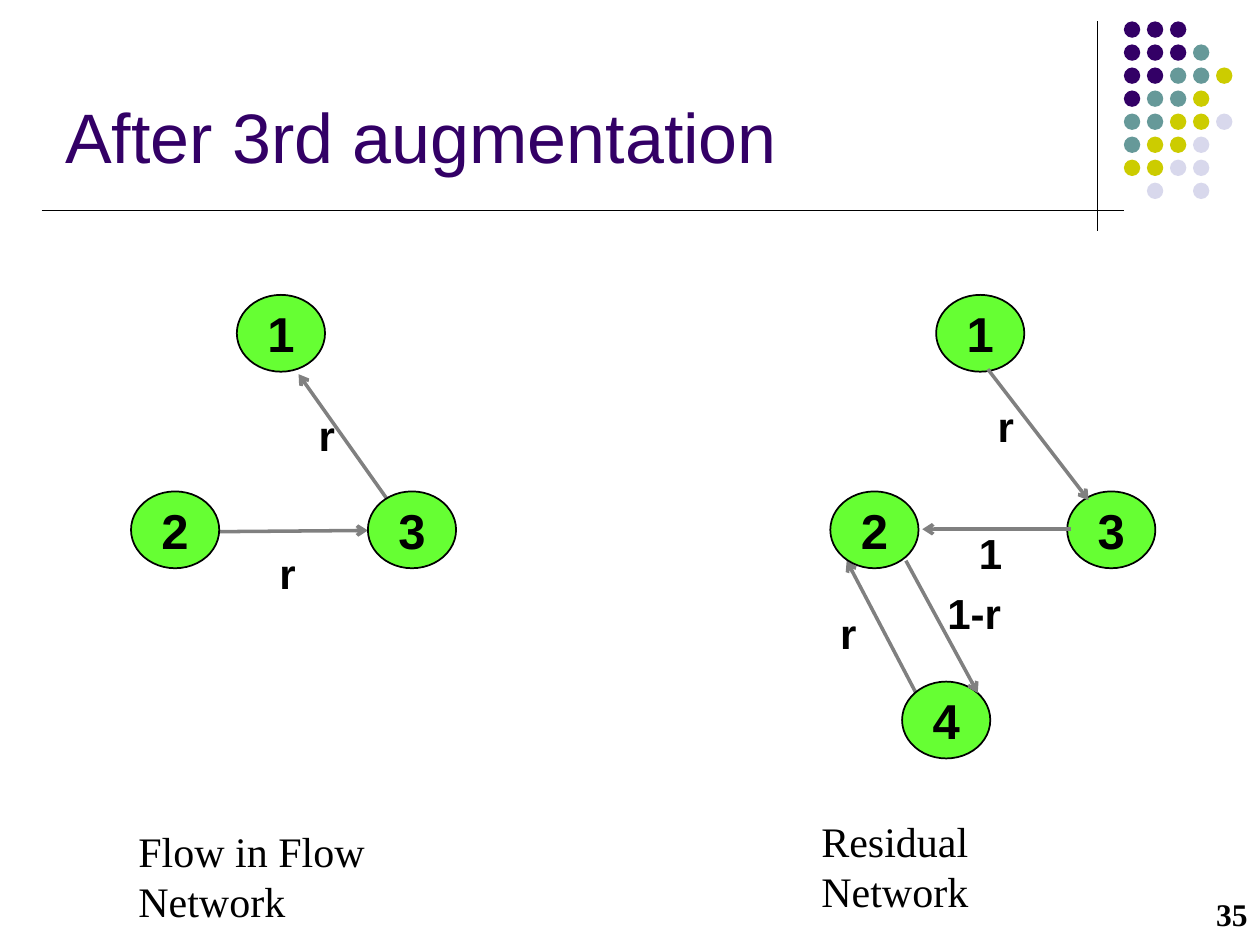
from dataclasses import dataclass

from lxml import etree
from pptx import Presentation
from pptx.dml.color import RGBColor
from pptx.enum import shapes, text
from pptx.oxml import ns
from pptx.util import Inches, Pt

BLACK = RGBColor(0x00, 0x00, 0x00)
PURPLE = RGBColor(0x33, 0x00, 0x66)
TEAL = RGBColor(0x66, 0x99, 0x99)
OLIVE = RGBColor(0xCC, 0xCC, 0x00)
LAVENDER = RGBColor(0xD8, 0xD8, 0xEC)
GREEN = RGBColor(0x66, 0xFF, 0x33)
GRAY = RGBColor(0x80, 0x80, 0x80)

SANS = "Arial"
SERIF = "Times New Roman"

DOT_COLORS = {"P": PURPLE, "T": TEAL, "O": OLIVE, "L": LAVENDER}
DOT_ROWS = ["PPP", "PPPT", "PPTTO", "PTTO", "TTOOL", "TOOL", "OOLL", ".L.L"]
DOT_LEFT, DOT_TOP, DOT_SIZE = 8.92, 0.17, 0.13
DOT_PITCH = 1.28 / 7

NODE_WIDTH, NODE_HEIGHT = 0.7, 0.61
# Node positions measured from the left edge of a network
NODE_POSITIONS = {"1": (0.84, 2.34), "2": (0, 3.9), "3": (1.88, 3.9), "4": (0.57, 5.41)}


@dataclass(frozen=True)
class Edge:
    start: tuple[float, float]
    end: tuple[float, float]
    label: str
    label_left: float
    label_top: float
    over_nodes: bool = False


@dataclass(frozen=True)
class Network:
    left: float
    nodes: str
    edges: list[Edge]
    caption: str
    caption_box: tuple[float, float, float, float]


FLOW = Network(
    1.04,
    "123",
    [
        Edge((3.1, 4), (2.37, 2.97), "r", 2.43, 3.2),
        Edge((1.72, 4.22), (2.92, 4.21), "r", 2.12, 4.3),
    ],
    "Flow in Flow Network",
    (1, 6.5, 3.24, 0.5),
)
RESIDUAL = Network(
    6.59,
    "1234",
    [
        Edge((7.27, 5.5), (6.72, 4.45), "r", 6.57, 4.77),
        Edge((7.84, 2.93), (8.64, 3.97), "r", 7.82, 3.13, over_nodes=True),
        Edge((7.19, 4.45), (7.76, 5.5), "1-r", 7.42, 4.61, over_nodes=True),
        Edge((8.5, 4.2), (7.32, 4.2), "1", 7.67, 4.14, over_nodes=True),
    ],
    "Residual Network",
    (6.42, 6.42, 2.61, 0.5),
)


def write(shape, content: str, size: float, font: str, color: RGBColor = BLACK,
          bold: bool = False, align=text.PP_ALIGN.LEFT, anchor=text.MSO_ANCHOR.TOP,
          wrap: bool = True) -> None:
    """Put one formatted paragraph into a shape."""
    frame = shape.text_frame
    frame.text = content
    frame.word_wrap = wrap
    frame.vertical_anchor = anchor
    paragraph = frame.paragraphs[0]
    paragraph.alignment = align
    run_font = paragraph.runs[0].font
    run_font.size = Pt(size)
    run_font.name = font
    run_font.bold = bold
    run_font.color.rgb = color


def add_text(slide, box: tuple[float, float, float, float], content: str,
             size: float, font: str, **style) -> None:
    textbox = slide.shapes.add_textbox(*map(Inches, box))
    write(textbox, content, size, font, **style)


def add_line(slide, start: tuple[float, float], end: tuple[float, float],
             color: RGBColor, width: float, arrow: bool = False) -> None:
    line = slide.shapes.add_connector(
        shapes.MSO_CONNECTOR.STRAIGHT, *map(Inches, (*start, *end)))
    line.line.color.rgb = color
    line.line.width = Pt(width)
    properties = line._element.spPr
    if arrow:
        etree.SubElement(properties.find(ns.qn("a:ln")), ns.qn("a:tailEnd"), type="arrow")
    etree.SubElement(properties, ns.qn("a:effectLst"))


def add_ellipse(slide, left: float, top: float, width: float, height: float,
                fill: RGBColor):
    ellipse = slide.shapes.add_shape(
        shapes.MSO_SHAPE.OVAL, *map(Inches, (left, top, width, height)))
    ellipse.shadow.inherit = False
    ellipse.fill.solid()
    ellipse.fill.fore_color.rgb = fill
    ellipse.line.fill.background()
    return ellipse


def add_node(slide, name: str, network_left: float) -> None:
    left, top = NODE_POSITIONS[name]
    node = add_ellipse(slide, network_left + left, top, NODE_WIDTH, NODE_HEIGHT, GREEN)
    node.line.color.rgb = BLACK
    node.line.width = Pt(1)
    write(node, name, 28, SANS, bold=True, align=text.PP_ALIGN.CENTER,
          anchor=text.MSO_ANCHOR.MIDDLE, wrap=False)


def add_edges(slide, network: Network, over_nodes: bool) -> None:
    for edge in network.edges:
        if edge.over_nodes == over_nodes:
            add_line(slide, edge.start, edge.end, GRAY, 2, arrow=True)
            add_text(slide, (edge.label_left, edge.label_top, 0.7, 0.5),
                     edge.label, 24, SANS, bold=True)


def add_network(slide, network: Network) -> None:
    add_edges(slide, network, over_nodes=False)
    for name in network.nodes:
        add_node(slide, name, network.left)
    add_edges(slide, network, over_nodes=True)
    add_text(slide, network.caption_box, network.caption, 24, SERIF, wrap=False)


def add_decoration(slide) -> None:
    """Draw the two crossing rules and the dot grid in the corner."""
    add_line(slide, (8.71, 0.17), (8.71, 1.83), BLACK, 0.75)
    for row, colors in enumerate(DOT_ROWS):
        for column, key in enumerate(colors):
            if key in DOT_COLORS:
                add_ellipse(slide, DOT_LEFT + column * DOT_PITCH, DOT_TOP + row * DOT_PITCH,
                            DOT_SIZE, DOT_SIZE, DOT_COLORS[key])
    add_line(slide, (0.33, 1.67), (8.92, 1.67), BLACK, 0.75)


def main() -> None:
    presentation = Presentation()
    presentation.slide_width = Inches(10)
    presentation.slide_height = Inches(7.5)
    slide = presentation.slides.add_slide(presentation.slide_layouts[6])

    add_decoration(slide)
    add_text(slide, (0.42, 0.83, 9, 0.63), "After 3rd augmentation", 40, SANS,
             color=PURPLE, anchor=text.MSO_ANCHOR.BOTTOM)
    for network in (FLOW, RESIDUAL):
        add_network(slide, network)
    add_text(slide, (8.08, 7, 1.92, 0.5), "35", 18, SERIF, bold=True,
             align=text.PP_ALIGN.RIGHT, anchor=text.MSO_ANCHOR.MIDDLE)

    presentation.save("out.pptx")


if __name__ == "__main__":
    main()
